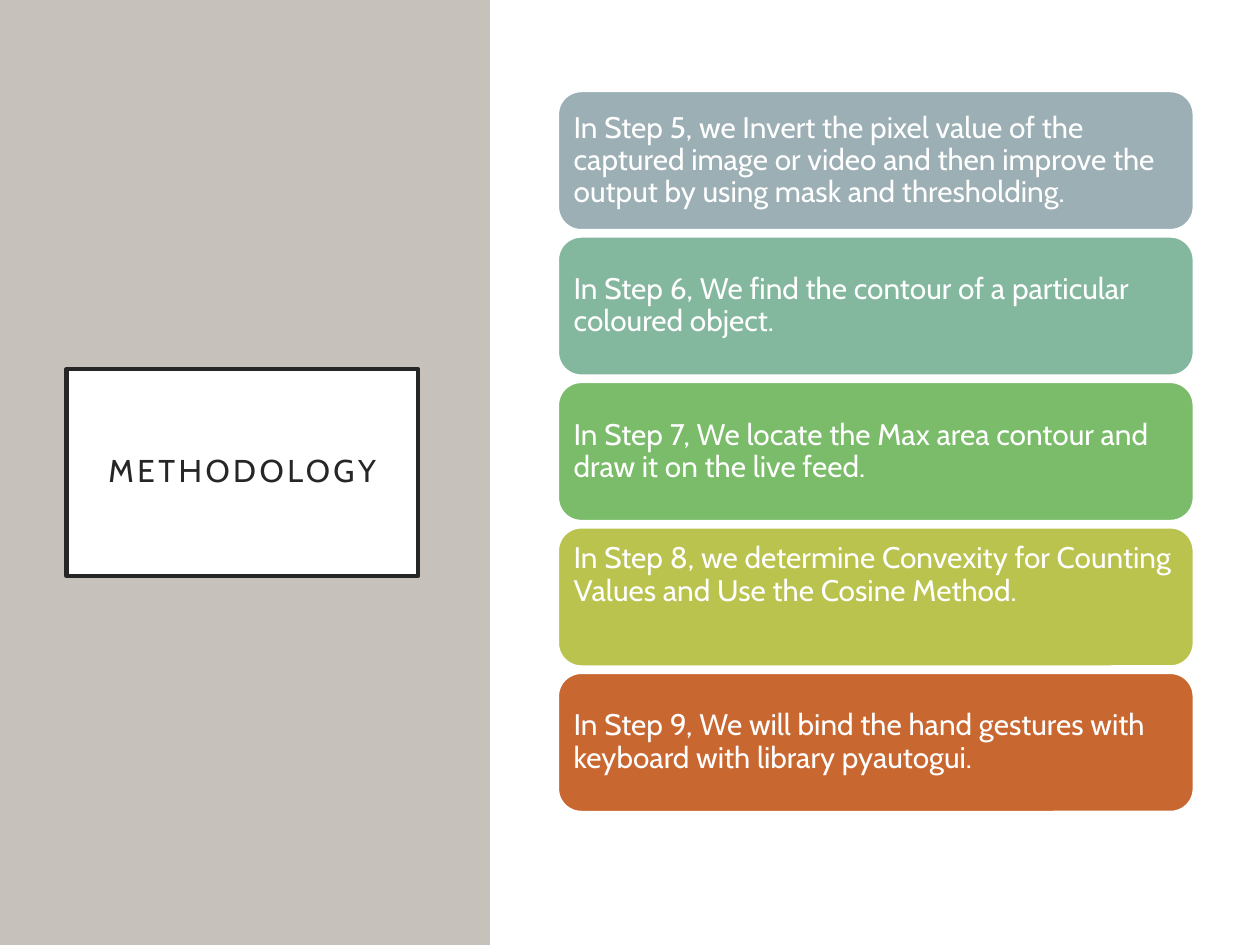
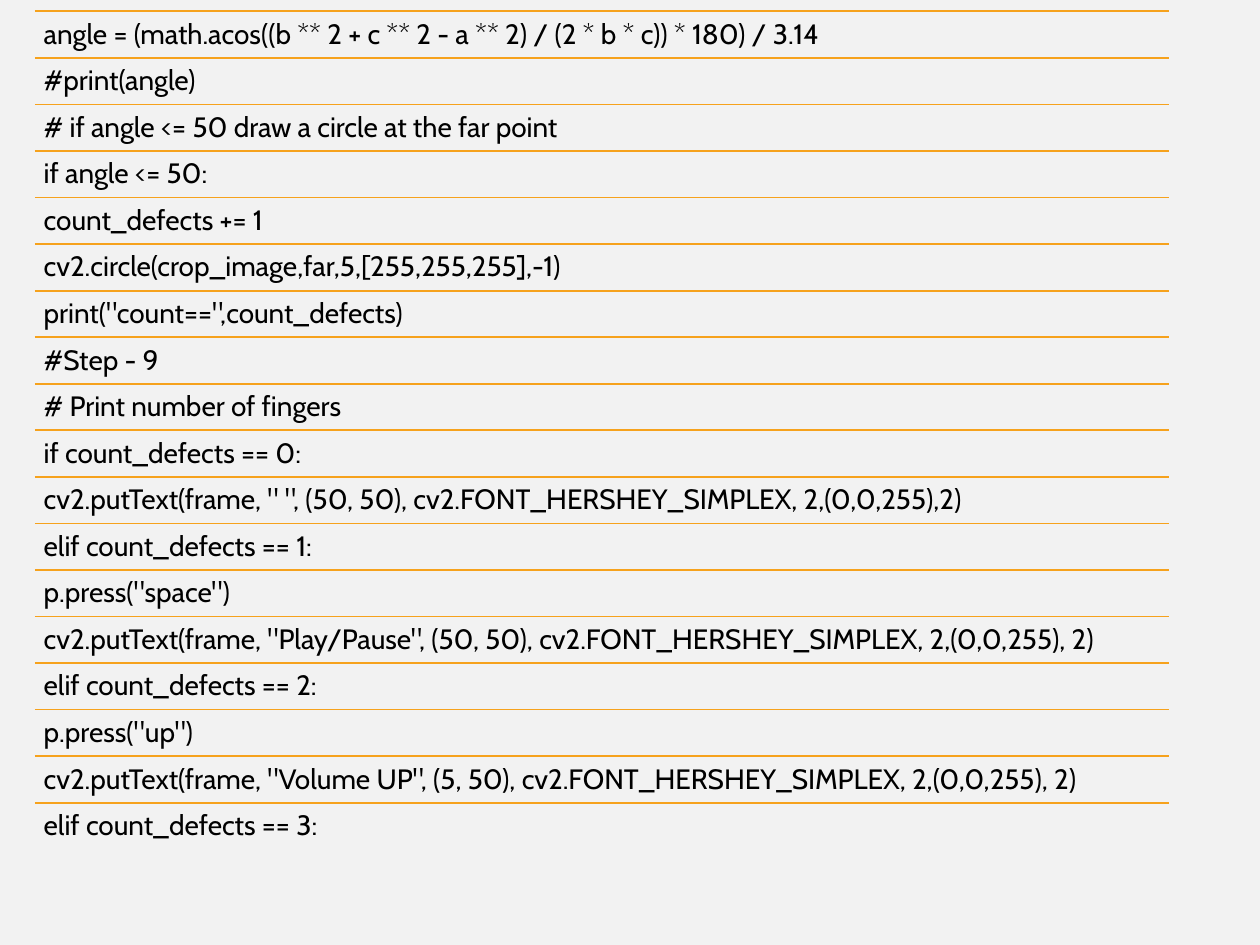
from pptx import Presentation
from pptx.dml.color import RGBColor
from pptx.enum.shapes import MSO_CONNECTOR, MSO_SHAPE
from pptx.enum.text import MSO_ANCHOR, MSO_AUTO_SIZE, PP_ALIGN
from pptx.oxml.ns import qn
from pptx.util import Pt

FONT = "Cabin"
WHITE, INK, BLACK = "FFFFFF", "262626", "000000"
SAND, MIST, RULE = "C6C1BA", "F2F2F2", "F6A21D"
PAGE_WIDTH, PAGE_HEIGHT = 720, 540
TITLE_ONLY, BLANK = 5, 6

# Card colour, wording and vertical anchor
STEPS = [
    ("9BAFB5", "In Step 5, we Invert the pixel value of the captured image or video "
     "and then improve the output by using mask and thresholding.", MSO_ANCHOR.MIDDLE),
    ("83B79E", "In Step 6, We find the contour of a particular coloured object.",
     MSO_ANCHOR.MIDDLE),
    ("7ABC69", "In Step 7, We locate the Max area contour and draw it on the live feed.",
     MSO_ANCHOR.MIDDLE),
    ("BAC34D", "In Step 8, we determine Convexity for Counting Values and Use the "
     "Cosine Method.", MSO_ANCHOR.TOP),
    ("C96731", "In Step 9, We will bind the hand gestures with keyboard with library "
     "pyautogui.", MSO_ANCHOR.MIDDLE),
]

CODE_LINES = [
    "angle = (math.acos((b ** 2 + c ** 2 - a ** 2) / (2 * b * c)) * 180) / 3.14",
    "#print(angle)",
    "# if angle <= 50 draw a circle at the far point",
    "if angle <= 50:",
    "count_defects += 1",
    "cv2.circle(crop_image,far,5,[255,255,255],-1)",
    'print("count==",count_defects)',
    "#Step - 9",
    "# Print number of fingers",
    "if count_defects == 0:",
    'cv2.putText(frame, " ", (50, 50), cv2.FONT_HERSHEY_SIMPLEX, 2,(0,0,255),2)',
    "elif count_defects == 1:",
    'p.press("space")',
    'cv2.putText(frame, "Play/Pause", (50, 50), cv2.FONT_HERSHEY_SIMPLEX, 2,(0,0,255), 2)',
    "elif count_defects == 2:",
    'p.press("up")',
    'cv2.putText(frame, "Volume UP", (5, 50), cv2.FONT_HERSHEY_SIMPLEX, 2,(0,0,255), 2)',
    "elif count_defects == 3:",
]


def colour(hex_value):
    return RGBColor.from_string(hex_value)


def set_all(target, values):
    for name, value in values.items():
        setattr(target, name, value)


def paint(shape, fill, line=None, line_width=1):
    shape.fill.solid()
    shape.fill.fore_color.rgb = colour(fill)
    if line:
        shape.line.color.rgb = colour(line)
        shape.line.width = Pt(line_width)
    else:
        shape.line.fill.background()


def add_box(page, kind, box, fill, line=None):
    shape = page.shapes.add_shape(kind, *map(Pt, box))
    shape.shadow.inherit = False
    paint(shape, fill, line)
    return shape


def write(shape, text, size, ink, inset=5, anchor=MSO_ANCHOR.TOP, align=PP_ALIGN.LEFT):
    """Fill the shape with one paragraph and return its run."""
    frame = shape.text_frame
    set_all(frame, {"word_wrap": True, "auto_size": MSO_AUTO_SIZE.NONE,
                    "vertical_anchor": anchor})
    set_all(frame, {f"margin_{side}": Pt(inset)
                    for side in ("left", "right", "top", "bottom")})
    para = frame.paragraphs[0]
    set_all(para, {"alignment": align, "line_spacing": 0.9})
    span = para.add_run()
    span.text = text
    set_all(span.font, {"name": FONT, "size": Pt(size), "bold": False})
    span.font.color.rgb = colour(ink)
    return span


def add_page(deck, layout, background):
    page = deck.slides.add_slide(deck.slide_layouts[layout])
    page.background.fill.solid()
    page.background.fill.fore_color.rgb = colour(background)
    return page


def add_title_panel(page, box, text):
    """Draw the side panel with the framed title centred in its height."""
    left, top, width, height = box
    add_box(page, MSO_SHAPE.RECTANGLE, box, SAND)
    title = page.shapes.title
    frame_height = 118
    set_all(title, {"left": Pt(left + 38), "top": Pt(top + (height - frame_height) / 2),
                    "width": Pt(201), "height": Pt(frame_height)})
    paint(title, WHITE, INK, 2.5)
    span = write(title, text, 18, INK, 14.4, MSO_ANCHOR.MIDDLE, PP_ALIGN.CENTER)
    span.font._element.set("spc", "200")
    page.shapes.element.append(title.element)  # bring the title in front of the panel


def add_step_cards(page, box, steps, gap=4):
    left, top, width, height = box
    card_height = (height - gap * (len(steps) - 1)) / len(steps)
    for index, (fill, text, anchor) in enumerate(steps):
        card_box = (left, top + index * (card_height + gap), width, card_height)
        card = add_box(page, MSO_SHAPE.ROUNDED_RECTANGLE, card_box, fill, WHITE)
        write(card, text, 17, WHITE, anchor=anchor)


def add_ruled_lines(page, box, lines):
    """Stack equal rows of text, each below a thin rule."""
    left, top, width, height = box
    row_height = height / len(lines)
    for index, text in enumerate(lines):
        row_top = top + index * row_height
        rule = page.shapes.add_connector(
            MSO_CONNECTOR.STRAIGHT, *map(Pt, (left, row_top, left + width, row_top)))
        rule.line.color.rgb = colour(RULE)
        rule.line.width = Pt(1)
        properties = rule.element.spPr
        properties.append(properties.makeelement(qn("a:effectLst"), {}))
        row = page.shapes.add_textbox(*map(Pt, (left, row_top, width, row_height)))
        write(row, text, 16, BLACK)


def add_methodology_page(deck):
    page = add_page(deck, TITLE_ONLY, WHITE)
    add_title_panel(page, (0, 0, 280, PAGE_HEIGHT), "METHODOLOGY")
    add_step_cards(page, (319, 52.2, 363, 411.6), STEPS)


def add_code_page(deck):
    page = add_page(deck, BLANK, MIST)
    add_ruled_lines(page, (20, 6.5, 648, 478.8), CODE_LINES)


def main():
    deck = Presentation()
    set_all(deck, {"slide_width": Pt(PAGE_WIDTH), "slide_height": Pt(PAGE_HEIGHT)})
    add_methodology_page(deck)
    add_code_page(deck)
    deck.save("out.pptx")


if __name__ == "__main__":
    main()
